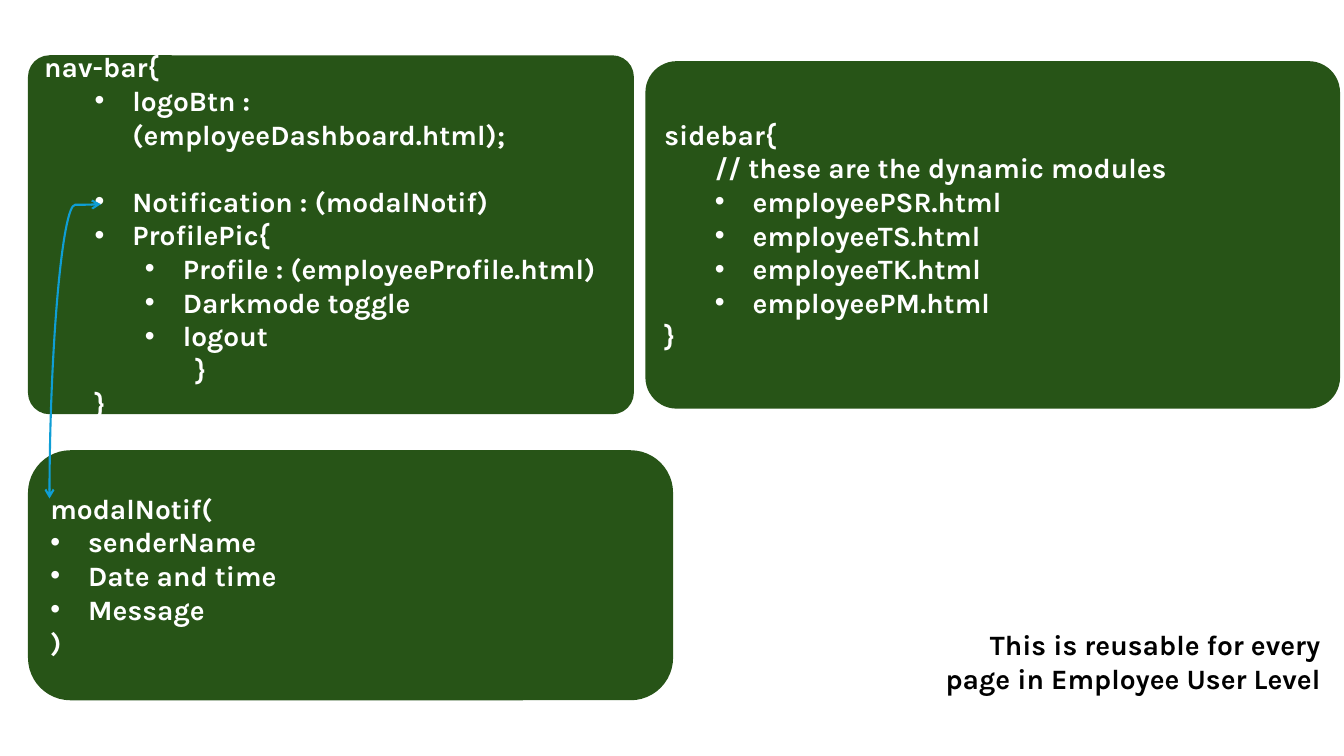
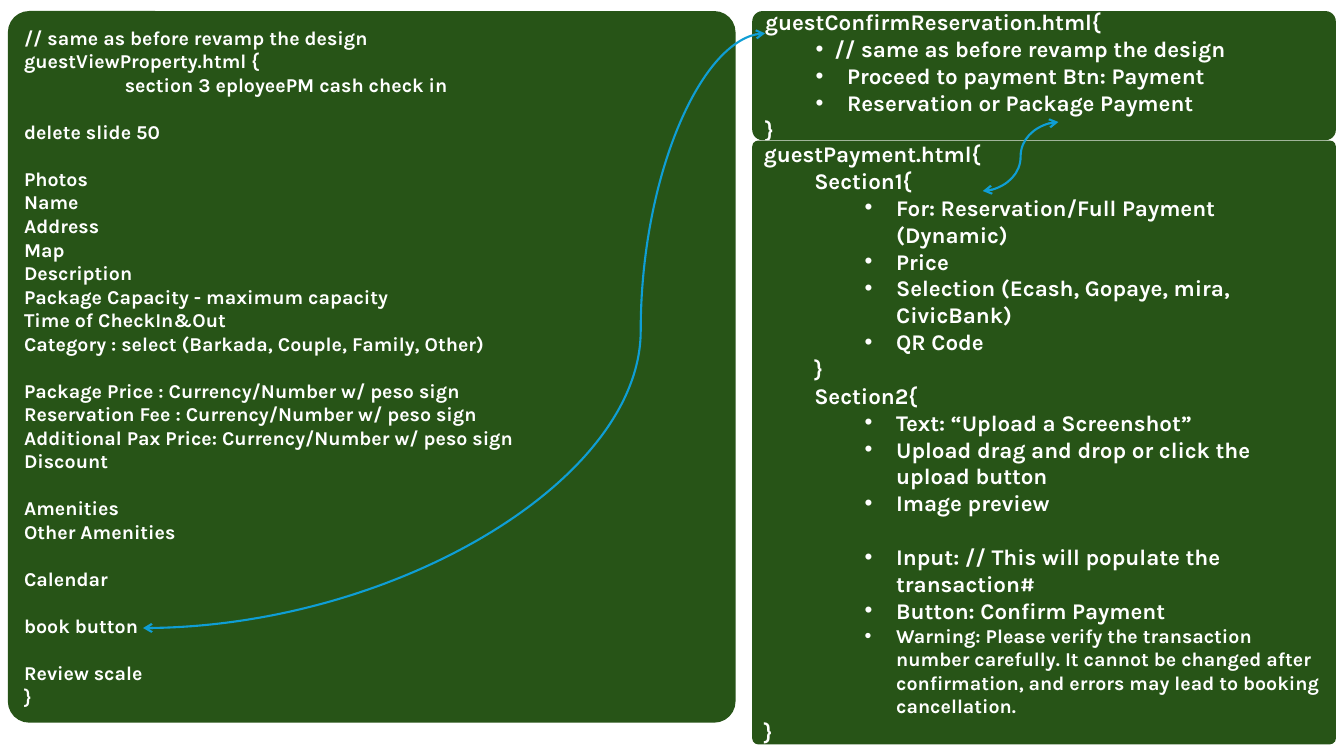
from lxml import etree
from pptx import Presentation
from pptx.dml.color import RGBColor
from pptx.enum.shapes import MSO_CONNECTOR, MSO_SHAPE
from pptx.enum.text import MSO_ANCHOR, MSO_AUTO_SIZE, PP_ALIGN
from pptx.oxml.ns import qn
from pptx.util import Pt

GREEN = RGBColor(0x27, 0x54, 0x17)
BLUE = RGBColor(0x0F, 0x9E, 0xD5)
WHITE = RGBColor(0xFF, 0xFF, 0xFF)
BLACK = RGBColor(0x00, 0x00, 0x00)
FONT = "Karla"
LINE_HEIGHT = 1.2
CURVE = MSO_CONNECTOR.CURVE
ROUNDED = MSO_SHAPE.ROUNDED_RECTANGLE
LEFT, RIGHT = PP_ALIGN.LEFT, PP_ALIGN.RIGHT
MIDDLE = MSO_ANCHOR.MIDDLE
FIT_SHAPE = MSO_AUTO_SIZE.SHAPE_TO_FIT_TEXT

# Line style: outline level, left margin, first-line indent
PLAIN = (0, 0, 0)
TABBED = (0, 72, 0)
INNER = (1, 36, 0)
CLOSING = (1, 108, 0)
BULLET = (0, 27, -27)
INNER_BULLET = (1, 63, -27)
DEEP_BULLET = (2, 99, -27)
TIGHT_BULLET = (1, 49.5, -13.5)
SMALL_BULLET = (1, 58.5, -22.5)
SMALL_DEEP_BULLET = (2, 94.5, -22.5)


def add_panel(slide, box, corner, size, lines):
    """Each line is style, text and, if needed, 'gap' (a line of space before) or a font size."""
    shape = slide.shapes.add_shape(ROUNDED, *map(Pt, box))
    shape.adjustments[0] = corner
    shape.shadow.inherit = False
    shape.fill.solid()
    shape.fill.fore_color.rgb = GREEN
    shape.line.fill.background()
    frame = shape.text_frame
    frame.word_wrap = True
    frame.vertical_anchor = MIDDLE
    for index, ((level, margin, indent), text, *extra) in enumerate(lines):
        paragraph = frame.add_paragraph() if index else frame.paragraphs[0]
        paragraph.level = level
        paragraph.alignment = LEFT
        properties = paragraph._p.get_or_add_pPr()
        properties.set("marL", str(Pt(margin)))
        properties.set("indent", str(Pt(indent)))
        if indent:
            etree.SubElement(properties, qn("a:buFont")).set("typeface", "Arial")
            etree.SubElement(properties, qn("a:buChar")).set("char", "•")
        if "gap" in extra:
            paragraph.space_before = Pt(size * LINE_HEIGHT)
        run = paragraph.add_run()
        run.text = text
        run.font.name = FONT
        run.font.size = Pt(extra[0] if extra and extra[0] != "gap" else size)
        run.font.bold = True
        run.font.color.rgb = WHITE


def add_curve(slide, begin, end, rotation, bend):
    """Draw a double-headed curve; begin and end are its corners before rotation."""
    connector = slide.shapes.add_connector(CURVE, *map(Pt, begin + end))
    connector.line.color.rgb = BLUE
    connector.line.width = Pt(1.5)
    properties = connector._element.spPr
    properties.find(qn("a:xfrm")).set("rot", str(rotation * 60000))
    guides = properties.find(qn("a:prstGeom")).get_or_add_avLst()
    guide = etree.SubElement(guides, qn("a:gd"))
    guide.set("name", "adj1")
    guide.set("fmla", f"val {round(bend * 100000)}")
    line = properties.find(qn("a:ln"))
    for arrowhead in ("a:headEnd", "a:tailEnd"):
        etree.SubElement(line, qn(arrowhead)).set("type", "arrow")
    etree.SubElement(properties, qn("a:effectLst"))


presentation = Presentation()
presentation.slide_width = Pt(960)
presentation.slide_height = Pt(540)
blank_layout = presentation.slide_layouts[6]

# Shared parts of the employee pages
slide = presentation.slides.add_slide(blank_layout)
add_panel(slide, (20, 39.5, 432.8, 256.4), 0.06, 20, [
    (PLAIN, "nav-bar{"),
    (INNER_BULLET, "logoBtn : (employeeDashboard.html);"),
    (INNER_BULLET, "Notification : (modalNotif)", "gap"),
    (INNER_BULLET, "ProfilePic{"),
    (DEEP_BULLET, "Profile : (employeeProfile.html)"),
    (DEEP_BULLET, "Darkmode toggle"),
    (DEEP_BULLET, "logout"),
    (CLOSING, "}"),
    (INNER, "}"),
])
add_panel(slide, (20, 321.6, 460.8, 178.6), 0.17, 20, [
    (PLAIN, "modalNotif("),
    (BULLET, "senderName"),
    (BULLET, "Date and time"),
    (BULLET, "Message"),
    (PLAIN, ")"),
])
add_panel(slide, (461, 43.7, 496.2, 248.2), 0.09, 20, [
    (PLAIN, "sidebar{"),
    (INNER, "// these are the dynamic modules"),
    (INNER_BULLET, "employeePSR.html"),
    (INNER_BULLET, "employeeTS.html"),
    (INNER_BULLET, "employeeTK.html"),
    (INNER_BULLET, "employeePM.html"),
    (PLAIN, "}"),
])
add_curve(slide, (-51.4, 232.6), (158.8, 269.3), 90, 0.002)

note = slide.shapes.add_textbox(Pt(661.7), Pt(445), Pt(288.7), Pt(55.4))
note.text_frame.word_wrap = True
note.text_frame.auto_size = FIT_SHAPE
paragraph = note.text_frame.paragraphs[0]
paragraph.alignment = RIGHT
run = paragraph.add_run()
run.text = "This is reusable for every page in Employee User Level"
run.font.name = FONT
run.font.size = Pt(20)
run.font.bold = True
run.font.color.rgb = BLACK

# Guest booking and payment pages
slide = presentation.slides.add_slide(blank_layout)
add_panel(slide, (5.6, 7.9, 519.8, 508.3), 0.03, 14, [
    (PLAIN, "// same as before revamp the design"),
    (PLAIN, "guestViewProperty.html {"),
    (TABBED, "section 3 eployeePM cash check in"),
    (PLAIN, "delete slide 50", "gap"),
    (PLAIN, "Photos", "gap"),
    (PLAIN, "Name"),
    (PLAIN, "Address"),
    (PLAIN, "Map"),
    (PLAIN, "Description"),
    (PLAIN, "Package Capacity - maximum capacity"),
    (PLAIN, "Time of CheckIn&Out"),
    (PLAIN, "Category : select (Barkada, Couple, Family, Other)"),
    (PLAIN, "Package Price : Currency/Number w/ peso sign", "gap"),
    (PLAIN, "Reservation Fee : Currency/Number w/ peso sign"),
    (PLAIN, "Additional Pax Price: Currency/Number w/ peso sign"),
    (PLAIN, "Discount"),
    (PLAIN, "Amenities", "gap"),
    (PLAIN, "Other Amenities"),
    (PLAIN, "Calendar", "gap"),
    (PLAIN, "book button", "gap"),
    (PLAIN, "Review scale", "gap"),
    (PLAIN, "}"),
])
add_panel(slide, (537.3, 7.9, 416.9, 92.2), 0.08, 16, [
    (PLAIN, "guestConfirmReservation.html{"),
    (TIGHT_BULLET, "// same as before revamp the design"),
    (SMALL_BULLET, "Proceed to payment Btn: Payment"),
    (SMALL_BULLET, "Reservation or Package Payment"),
    (PLAIN, "}"),
])
add_panel(slide, (537.3, 100.4, 416.9, 431.3), 0.01, 16, [
    (PLAIN, "guestPayment.html{"),
    (INNER, "Section1{"),
    (SMALL_DEEP_BULLET, "For: Reservation/Full Payment (Dynamic)"),
    (SMALL_DEEP_BULLET, "Price"),
    (SMALL_DEEP_BULLET, "Selection (Ecash, Gopaye, mira, CivicBank)"),
    (SMALL_DEEP_BULLET, "QR Code"),
    (INNER, "}"),
    (INNER, "Section2{"),
    (SMALL_DEEP_BULLET, "Text: “Upload a Screenshot”"),
    (SMALL_DEEP_BULLET, "Upload drag and drop or click the upload button"),
    (SMALL_DEEP_BULLET, "Image preview"),
    (SMALL_DEEP_BULLET, "Input: // This will populate the transaction#", "gap"),
    (SMALL_DEEP_BULLET, "Button: Confirm Payment"),
    (SMALL_DEEP_BULLET, "Warning: Please verify the transaction number carefully. It cannot be "
     "changed after confirmation, and errors may lead to booking cancellation.", 14),
    (PLAIN, "}"),
])
add_curve(slide, (702, 136.4), (756, 87.1), 180, 0.5)
add_curve(slide, (102.2, 448.6), (546.5, 23.8), 180, 0.2)

presentation.save("out.pptx")
